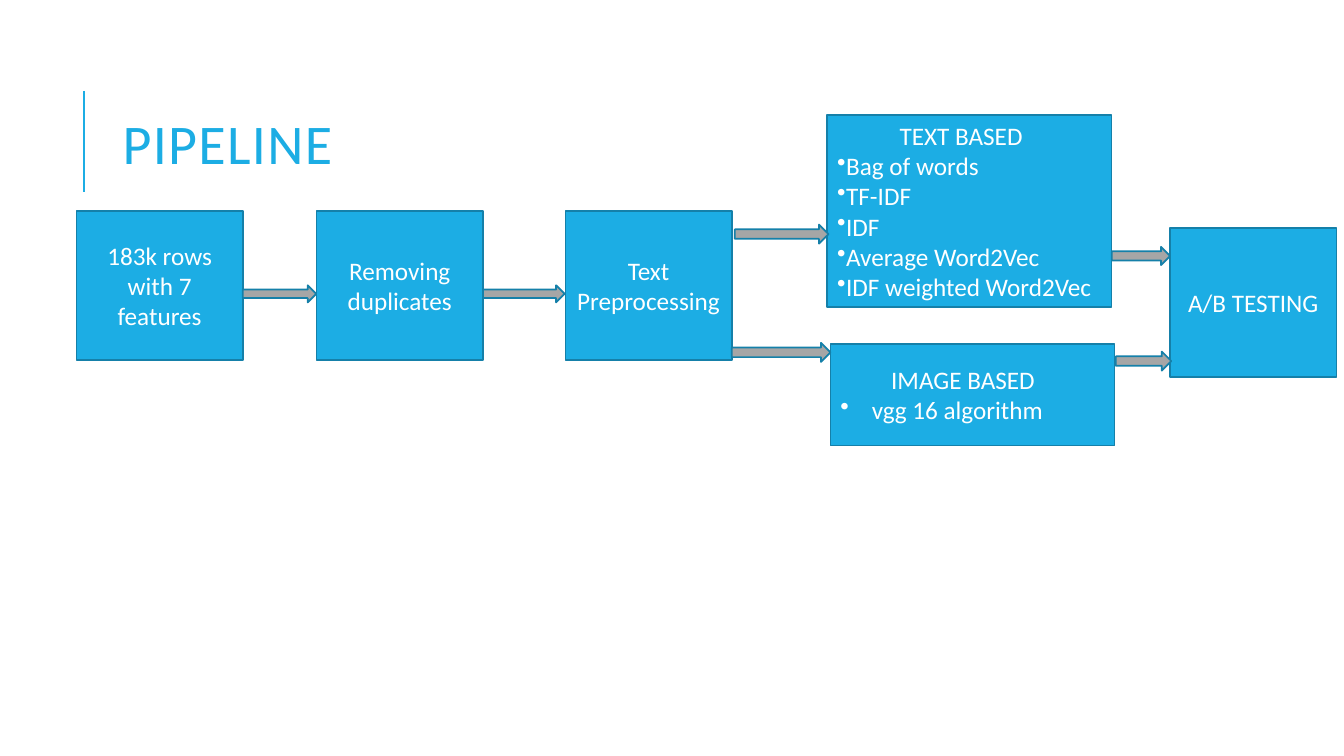
from dataclasses import dataclass

from lxml import etree
from pptx import Presentation
from pptx.dml.color import RGBColor
from pptx.enum.shapes import MSO_CONNECTOR, MSO_SHAPE
from pptx.enum.text import MSO_ANCHOR, PP_ALIGN
from pptx.oxml.ns import qn
from pptx.util import Cm, Pt

RECT = MSO_SHAPE.RECTANGLE
ARROW = MSO_SHAPE.RIGHT_ARROW
STRAIGHT = MSO_CONNECTOR.STRAIGHT
MIDDLE = MSO_ANCHOR.MIDDLE
LEFT, CENTER, JUSTIFY = PP_ALIGN.LEFT, PP_ALIGN.CENTER, PP_ALIGN.JUSTIFY


@dataclass(frozen=True)
class Theme:
    font: str = "Calibri"
    blue: RGBColor = RGBColor(0x1C, 0xAD, 0xE4)
    edge: RGBColor = RGBColor(0x15, 0x80, 0xA9)
    gray: RGBColor = RGBColor(0xA6, 0xA6, 0xA6)
    white: RGBColor = RGBColor(0xFF, 0xFF, 0xFF)
    title: float = 40
    body: float = 18
    border: float = 1.25
    rule: float = 1.5


class Board:
    def __init__(self, slide, theme):
        self.shapes = slide.shapes
        self.theme = theme

    def style(self, para, size, color, align):
        para.alignment = align
        para.font.name = self.theme.font
        para.font.size = Pt(size)
        para.font.color.rgb = color

    def indent(self, para, left, first=0):
        props = para._p.get_or_add_pPr()
        props.set("marL", str(Cm(left)))
        props.set("indent", str(Cm(first)))
        return props

    def rule(self, x, top, bottom):
        line = self.shapes.add_connector(STRAIGHT, Cm(x), Cm(top), Cm(x), Cm(bottom))
        line.line.color.rgb = self.theme.blue
        line.line.width = Pt(self.theme.rule)
        etree.SubElement(line._element.spPr, qn("a:effectLst"))

    def title(self, text, *place):
        frame = self.shapes.add_textbox(*map(Cm, place)).text_frame
        frame.word_wrap = True
        frame.vertical_anchor = MIDDLE
        para = frame.paragraphs[0]
        run = para.add_run()
        run.text = text
        run._r.get_or_add_rPr().set("spc", "100")
        para.line_spacing = 0.8
        self.style(para, self.theme.title, self.theme.blue, LEFT)

    def shape(self, kind, fill, place):
        shape = self.shapes.add_shape(kind, *map(Cm, place))
        shape.shadow.inherit = False
        shape.fill.solid()
        shape.fill.fore_color.rgb = fill
        shape.line.color.rgb = self.theme.edge
        shape.line.width = Pt(self.theme.border)
        return shape

    def box(self, text, *place, align=CENTER):
        frame = self.shape(RECT, self.theme.blue, place).text_frame
        frame.word_wrap = True
        frame.vertical_anchor = MIDDLE
        frame.text = text
        for para in frame.paragraphs:
            self.style(para, self.theme.body, self.theme.white, align)
        return frame.paragraphs

    def group(self, head, items, inset, hang, *place):
        first, *rest = self.box("\n".join([head, *items]), *place, align=JUSTIFY)
        self.indent(first, inset)
        for para in rest:
            props = self.indent(para, hang, -hang)
            mark = etree.Element(qn("a:buChar"), char="•")
            props.find(qn("a:defRPr")).addprevious(mark)

    def arrow(self, *place):
        self.shape(ARROW, self.theme.gray, place)


def main():
    deck = Presentation()
    deck.slide_width, deck.slide_height = Cm(33.87), Cm(19.05)
    board = Board(deck.slides.add_slide(deck.slide_layouts[6]), Theme())

    board.rule(2.12, 2.29, 4.83)
    board.title("PIPELINE", 2.84, 1.32, 12.19, 4.83)

    wide, high = 4.19, 3.76
    steps = [
        ("183k rows with 7 features", 1.93, 5.31),
        ("Removing duplicates", 7.98, 5.32),
        ("Text Preprocessing", 14.25, 5.32),
        ("A/B TESTING", 29.49, 5.74),
    ]
    for text, left, top in steps:
        board.box(text, left, top, wide, high)

    words = ["Bag of words", "TF-IDF", "IDF", "Average Word2Vec", "IDF weighted Word2Vec"]
    board.group("TEXT BASED", words, 1.57, 0, 20.85, 2.9, 7.16, 4.83)
    board.group("IMAGE BASED", ["vgg 16 algorithm"], 1.28, 0.79, 20.93, 8.66, 7.16, 2.57)

    arrows = [
        (6.12, 7.19, 1.85, 0.43),
        (12.17, 7.19, 2.06, 0.43),
        (18.52, 5.66, 2.36, 0.48),
        (18.44, 8.64, 2.49, 0.48),
        (28.02, 6.22, 1.47, 0.46),
        (28.12, 8.86, 1.4, 0.48),
    ]
    for place in arrows:
        board.arrow(*place)

    deck.save("out.pptx")


if __name__ == "__main__":
    main()
